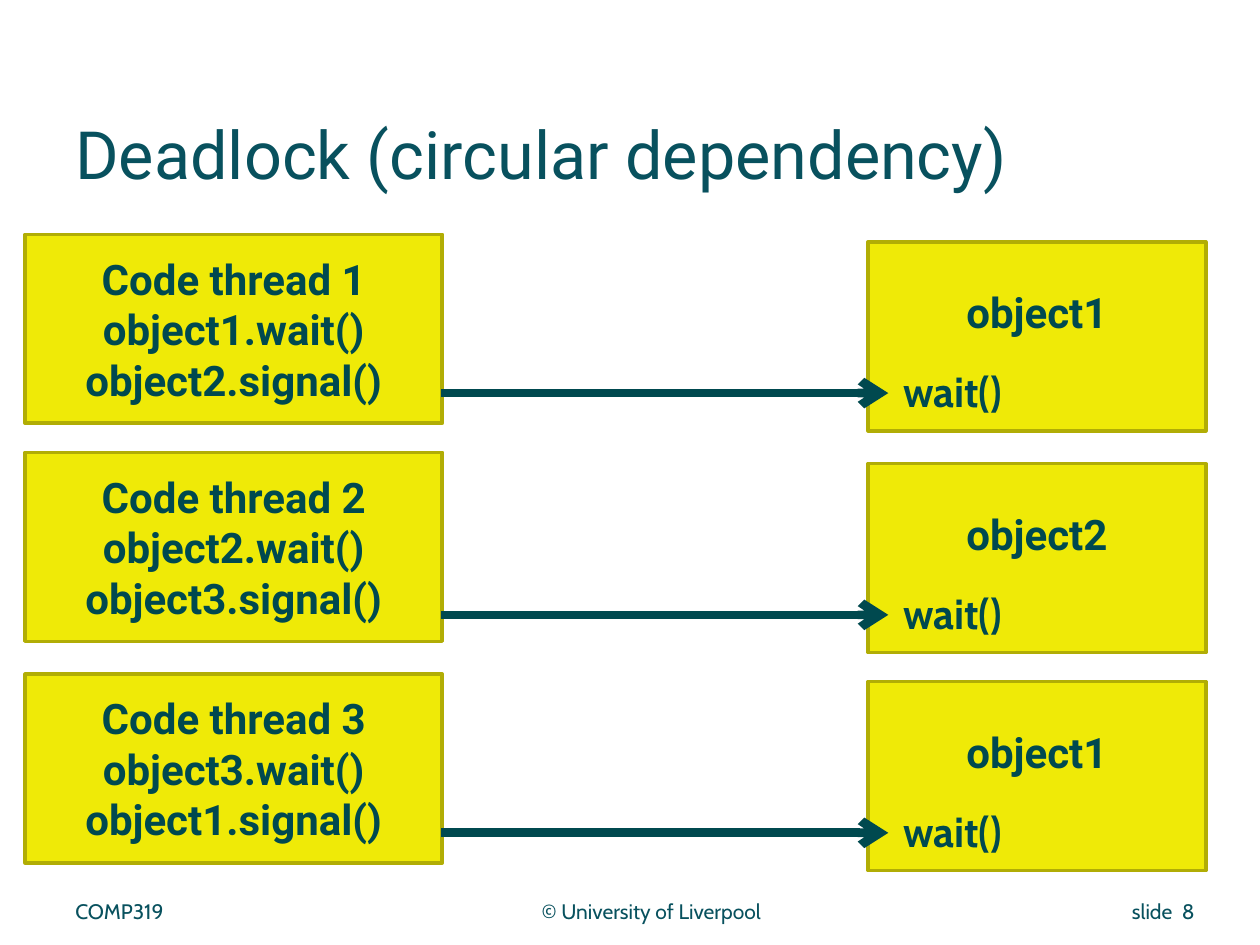
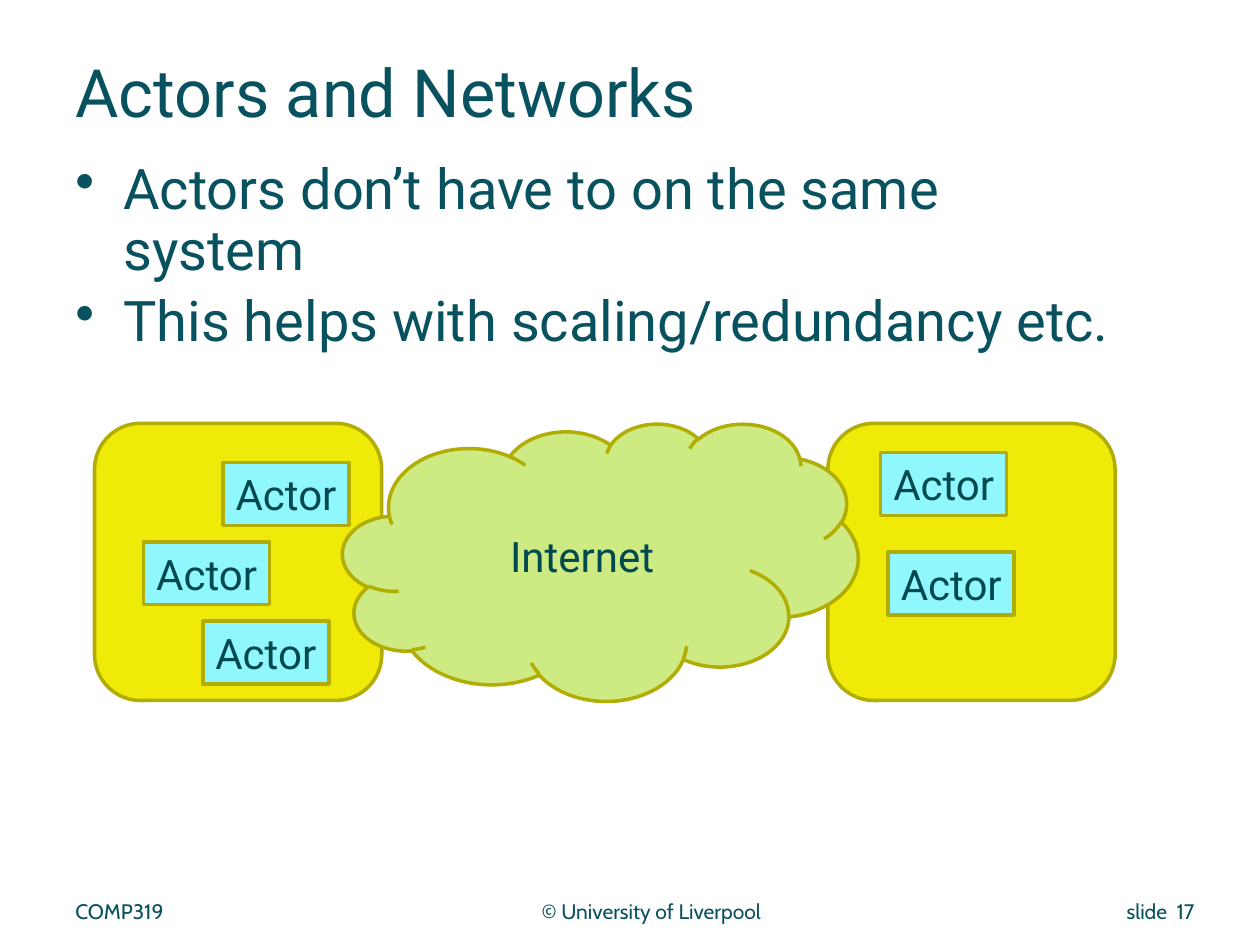
import pptx
import pptx.dml.color
import pptx.enum.shapes
import pptx.enum.text
import pptx.util
from lxml import etree
from pptx.oxml.ns import qn

Inches = pptx.util.Inches
Pt = pptx.util.Pt
SHAPE = pptx.enum.shapes.MSO_SHAPE
ALIGN = pptx.enum.text.PP_ALIGN
ANCHOR = pptx.enum.text.MSO_ANCHOR

COLORS = {
    "heading": "08515E",
    "ink": "00494F",
    "panel": "EFEA07",
    "outline": "B1AD05",
    "cloud": "CEEA82",
    "actor": "90F7FF",
}
HEAD_FONT = "Roboto"
FOOT_FONT = "Cabin"
NODE_HEIGHT = 1.5


def rgb(name):
    return pptx.dml.color.RGBColor.from_string(COLORS[name])


def add_run(p, text, size, color, font=HEAD_FONT, bold=False):
    r = p.add_run()
    r.text = text
    r.font.name = font
    r.font.size = Pt(size)
    r.font.bold = bold
    r.font.color.rgb = rgb(color)


def add_textbox(s, left, top, width, height, wrap=True):
    tf = s.shapes.add_textbox(
        Inches(left), Inches(top), Inches(width), Inches(height)).text_frame
    tf.word_wrap = wrap
    return tf


def add_box(s, kind, left, top, width, height, fill, lines=(), bold=False):
    sp = s.shapes.add_shape(
        kind, Inches(left), Inches(top), Inches(width), Inches(height))
    sp.shadow.inherit = False
    sp.fill.solid()
    sp.fill.fore_color.rgb = rgb(fill)
    sp.line.color.rgb = rgb("outline")
    sp.line.width = Pt(2)
    tf = sp.text_frame
    tf.vertical_anchor = ANCHOR.MIDDLE
    for i, line in enumerate(lines):
        p = tf.add_paragraph() if i else tf.paragraphs[0]
        p.alignment = ALIGN.CENTER
        add_run(p, line, 24, "ink", bold=bold)
    return sp


def add_arrow(s, start, end, y):
    line = s.shapes.add_connector(
        pptx.enum.shapes.MSO_CONNECTOR.STRAIGHT,
        Inches(start), Inches(y), Inches(end), Inches(y))
    line.line.color.rgb = rgb("ink")
    line.line.width = Pt(5)
    etree.SubElement(line.line._get_or_add_ln(), qn("a:tailEnd"), type="arrow")
    etree.SubElement(line._element.spPr, qn("a:effectLst"))


def add_title(s, text, top):
    tf = add_textbox(s, 0.5, top, 9, 0.72)
    tf.vertical_anchor = ANCHOR.MIDDLE
    add_run(tf.paragraphs[0], text, 38, "heading")


def add_footer(s, number):
    for left, width, align, texts in (
        (0.5, 3.33, ALIGN.LEFT, ["COMP319"]),
        (4, 2.34, ALIGN.CENTER, ["© University of Liverpool"]),
        (8.08, 1.5, ALIGN.RIGHT, ["slide ", f" {number}"]),
    ):
        p = add_textbox(s, left, 7.08, width, 0.42).paragraphs[0]
        p.alignment = align
        for text in texts:
            add_run(p, text, 12, "heading", FOOT_FONT)


def add_bullets(s, left, top, width, height, items):
    tf = add_textbox(s, left, top, width, height)
    for i, item in enumerate(items):
        p = tf.add_paragraph() if i else tf.paragraphs[0]
        pPr = p._p.get_or_add_pPr()
        pPr.set("marL", str(Inches(0.38)))
        pPr.set("indent", str(-Inches(0.38)))
        etree.SubElement(pPr, qn("a:buChar"), char="•")
        p.line_spacing = 0.9
        p.space_before = Pt(6.4 if i else 0)
        add_run(p, item, 32, "heading")


def add_thread(s, left, top, number, waits_for, signals):
    add_box(s, SHAPE.RECTANGLE, left, top, 3.31, NODE_HEIGHT, "panel",
            [f"Code thread {number}", f"object{waits_for}.wait()",
             f"object{signals}.signal()"], bold=True)


def add_waiting_object(s, left, top, name):
    sp = add_box(s, SHAPE.RECTANGLE, left, top, 2.68, NODE_HEIGHT, "panel",
                 [name], bold=True)
    sp.text_frame.margin_bottom = Inches(0.44)
    add_arrow(s, 3.5, left + 0.16, top + 1.2)
    tf = add_textbox(s, left + 0.18, top + 0.93, 1.08, 0.5, wrap=False)
    add_run(tf.paragraphs[0], "wait()", 24, "ink", FOOT_FONT, bold=True)


def add_system(s, left, top, actors):
    add_box(s, SHAPE.ROUNDED_RECTANGLE, left, top, 2.28, 2.2, "panel")
    for dx, dy in actors:
        add_box(s, SHAPE.RECTANGLE, left + dx, top + dy, 1, 0.5, "actor",
                ["Actor"])


def deadlock_slide(s):
    add_title(s, "Deadlock (circular dependency)", 0.85)
    add_footer(s, 8)
    rows = [(1.86, 1.92, "object1"), (3.59, 3.68, "object2"),
            (5.35, 5.41, "object1")]
    for i, (thread_top, object_top, name) in enumerate(rows):
        add_thread(s, 0.2, thread_top, i + 1, i + 1, (i + 1) % 3 + 1)
        add_waiting_object(s, 6.89, object_top, name)


def network_slide(s):
    add_title(s, "Actors and Networks", 0.36)
    add_bullets(s, 0.5, 1.23, 8.58, 5, [
        "Actors don’t have to on the same system",
        "This helps with scaling/redundancy etc.",
    ])
    add_footer(s, 17)
    top = 3.36
    add_system(s, 0.75, top, [(1.02, 0.31), (0.39, 0.94), (0.86, 1.57)])
    add_system(s, 6.57, top, [(0.42, 0.23), (0.48, 1.02)])
    add_box(s, SHAPE.CLOUD, 2.72, top, 4.09, 2.2, "cloud", ["Internet"])


def main():
    prs = pptx.Presentation()
    prs.slide_width = Inches(10)
    prs.slide_height = Inches(7.5)
    for build in (deadlock_slide, network_slide):
        build(prs.slides.add_slide(prs.slide_layouts[6]))
    prs.save("out.pptx")


if __name__ == "__main__":
    main()
